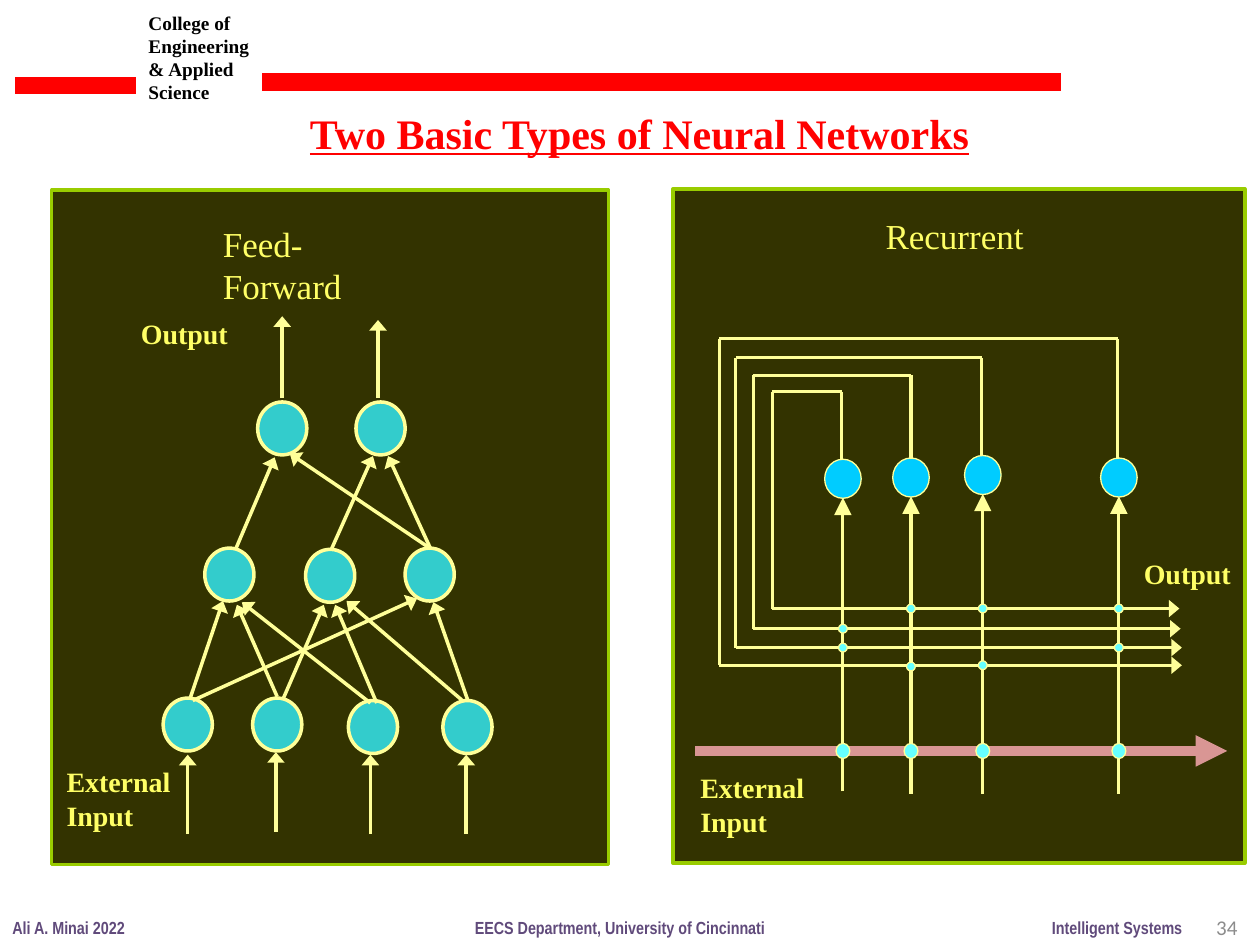
from typing import NamedTuple

from lxml.etree import SubElement
from pptx import Presentation
from pptx.dml.color import RGBColor
from pptx.enum.shapes import MSO_CONNECTOR, MSO_SHAPE
from pptx.enum.text import MSO_ANCHOR, PP_ALIGN
from pptx.oxml.ns import qn
from pptx.util import Inches, Pt

SERIF = "Times New Roman"
PALE, YELLOW, RED, PURPLE = "FFFF99", "FFFF66", "FF0000", "604A7B"
DOT = "66FFFF"


class Point(NamedTuple):
    x: float
    y: float


class Label(NamedTuple):
    text: str
    left: float
    top: float
    width: float
    height: float
    size: float = 16
    color: str = YELLOW
    font: str = SERIF
    bold: bool = True
    underline: bool = False
    wrap: bool = False
    align: PP_ALIGN = PP_ALIGN.LEFT
    anchor: MSO_ANCHOR = MSO_ANCHOR.TOP


class Loop(NamedTuple):
    neuron: Point
    stem: float
    left: float
    top: float
    bottom: float
    right: float
    input_bottom: float
    junctions: tuple


def rgb(color: str) -> RGBColor:
    return RGBColor.from_string(color)


def write_label(box, label: Label) -> None:
    frame = box.text_frame
    frame.text = label.text
    frame.word_wrap = label.wrap
    frame.vertical_anchor = label.anchor
    for para in frame.paragraphs:
        para.alignment = label.align
        font = para.font
        font.name = label.font
        font.size = Pt(label.size)
        font.bold = label.bold
        font.underline = label.underline
        font.color.rgb = rgb(label.color)


def add_label(page, label: Label) -> None:
    box = page.shapes.add_textbox(*map(Inches, label[1:5]))
    write_label(box, label)


def add_solid(page, kind, left: float, top: float, width: float, height: float,
              fill: str, line: str, weight: float) -> None:
    shape = page.shapes.add_shape(kind, *map(Inches, (left, top, width, height)))
    shape.shadow.inherit = False
    shape.fill.solid()
    shape.fill.fore_color.rgb = rgb(fill)
    shape.line.color.rgb = rgb(line)
    shape.line.width = Pt(weight)


def add_node(page, center: Point, width: float, height: float, fill: str,
             weight: float = 0.75) -> None:
    add_solid(page, MSO_SHAPE.OVAL, center.x - width / 2, center.y - height / 2,
              width, height, fill, PALE, weight)


def add_line(page, start: Point, end: Point, weight: float = 1.75, color: str = PALE,
             arrow: tuple = ()) -> None:
    line = page.shapes.add_connector(MSO_CONNECTOR.STRAIGHT, *map(Inches, (*start, *end)))
    line.line.color.rgb = rgb(color)
    line.line.width = Pt(weight)
    if arrow:
        width, length = arrow
        SubElement(line.line._get_or_add_ln(), qn("a:tailEnd"),
                   type="triangle", w=width, len=length)
    SubElement(line._element.spPr, qn("a:effectLst"))


FEED_NODES = [
    Point(1.49, 5.75), Point(2.2, 5.75), Point(2.96, 5.77), Point(3.71, 5.77),
    Point(1.82, 4.56), Point(2.62, 4.57), Point(3.41, 4.56),
    Point(2.24, 3.4), Point(3.02, 3.4),
]
FEED_ARROWS = [
    (Point(1.51, 5.54), Point(1.77, 4.77)),
    (Point(2.94, 5.58), Point(1.92, 4.78)),
    (Point(2.25, 5.54), Point(2.57, 4.8)),
    (Point(2.99, 5.58), Point(2.66, 4.8)),
    (Point(3.67, 5.56), Point(2.75, 4.77)),
    (Point(1.53, 5.56), Point(3.31, 4.75)),
    (Point(2.2, 5.53), Point(1.88, 4.8)),
    (Point(3.71, 5.55), Point(3.44, 4.78)),
    (Point(1.87, 4.36), Point(2.18, 3.63)),
    (Point(3.41, 4.35), Point(2.3, 3.6)),
    (Point(2.63, 4.36), Point(2.96, 3.62)),
    (Point(3.42, 4.36), Point(3.08, 3.62)),
    (Point(2.24, 3.16), Point(2.24, 2.51)),
    (Point(3, 3.16), Point(3, 2.54)),
    (Point(1.49, 6.62), Point(1.49, 5.99)),
    (Point(2.19, 6.6), Point(2.19, 5.97)),
    (Point(2.94, 6.62), Point(2.94, 5.99)),
    (Point(3.7, 6.62), Point(3.7, 5.99)),
]
LOOPS = [
    Loop(Point(6.69, 3.8), 6.68, 6.13, 3.11, 4.83, 9.36, 6.28, (4.99, 5.14)),
    Loop(Point(7.23, 3.79), 7.23, 5.98, 2.98, 4.99, 9.37, 6.3, (4.83, 5.29)),
    Loop(Point(7.8, 3.77), 7.79, 5.84, 2.84, 5.14, 9.38, 6.3, (4.83, 5.28)),
    Loop(Point(8.88, 3.79), 8.87, 5.71, 2.69, 5.28, 9.38, 6.3, (4.83, 5.14)),
]
INPUT_Y = 5.96

FRAME_LABELS = [
    Label("College of Engineering & Applied\nScience", 1.08, 0.04, 1.09, 0.84, 11,
          "000000", wrap=True),
    Label("Ali A. Minai 2022", 0, 7.23, 1.1, 0.27, 10, PURPLE, "Arial Narrow"),
    Label("Intelligent Systems", 8.25, 7.23, 1.24, 0.27, 10, PURPLE, "Arial Narrow"),
    Label("EECS Department, University of Cincinnati", 3.67, 7.23, 2.52, 0.27, 10,
          PURPLE, "Arial Narrow"),
    Label("34", 7.59, 7.16, 2.33, 0.4, 12, "8C8C8C", "Calibri", False, wrap=True,
          align=PP_ALIGN.RIGHT, anchor=MSO_ANCHOR.MIDDLE),
]
DIAGRAM_LABELS = [
    Label("External\nInput", 5.46, 6.07, 1.04, 0.64),
    Label("Feed-Forward", 1.67, 1.72, 1.77, 0.43, 20, bold=False),
    Label("Recurrent", 6.93, 1.65, 1.3, 0.43, 20, bold=False),
    Label("External\nInput", 0.43, 6.02, 1.04, 0.64),
    Label("Output", 1.02, 2.46, 0.9, 0.37),
    Label("Output", 8.98, 4.37, 0.9, 0.37),
]
TITLE = Label("Two Basic Types of Neural Networks", 2.36, 0.8, 5.49, 0.5, 24, RED,
              underline=True)


def draw_feed_forward(page) -> None:
    for center in FEED_NODES:
        add_node(page, center, 0.39, 0.42, "33CCCC", 2)
    for start, end in FEED_ARROWS:
        add_line(page, start, end, 2, arrow=("lg", "med"))


def draw_recurrent(page) -> None:
    add_line(page, Point(5.52, INPUT_Y), Point(9.74, INPUT_Y), 6, "D99694", ("med", "med"))
    for loop in LOOPS:
        x, y = loop.neuron
        add_node(page, loop.neuron, 0.29, 0.31, "00CCFF")
        corners = [Point(loop.stem, y - 0.15), Point(loop.stem, loop.top),
                   Point(loop.left, loop.top), Point(loop.left, loop.bottom)]
        for start, end in zip(corners, corners[1:]):
            add_line(page, start, end)
        add_line(page, corners[-1], Point(loop.right, loop.bottom), arrow=("lg", "med"))
        add_line(page, Point(x, loop.input_bottom), Point(x, y + 0.15), arrow=("lg", "lg"))
    for loop in LOOPS:
        for junction in loop.junctions:
            add_node(page, Point(loop.neuron.x, junction), 0.07, 0.07, DOT)
        add_node(page, Point(loop.neuron.x, INPUT_Y), 0.11, 0.12, DOT)


def main() -> None:
    deck = Presentation()
    deck.slide_width, deck.slide_height = Inches(10), Inches(7.5)
    page = deck.slides.add_slide(deck.slide_layouts[5])

    title = page.shapes.title
    title.left, title.top, title.width, title.height = map(Inches, TITLE[1:5])
    write_label(title, TITLE)

    for left, right, y in [(0.12, 1.08, 0.68), (2.08, 8.42, 0.65)]:
        add_line(page, Point(left, y), Point(right, y), 10, RED)
    for label in FRAME_LABELS:
        add_label(page, label)

    for left, top, width in [(5.34, 1.5, 4.54), (0.41, 1.51, 4.42)]:
        add_solid(page, MSO_SHAPE.RECTANGLE, left, top, width, 5.35, "333300", "99CC00", 2)
    draw_feed_forward(page)
    draw_recurrent(page)
    for label in DIAGRAM_LABELS:
        add_label(page, label)

    deck.save("out.pptx")


if __name__ == "__main__":
    main()
